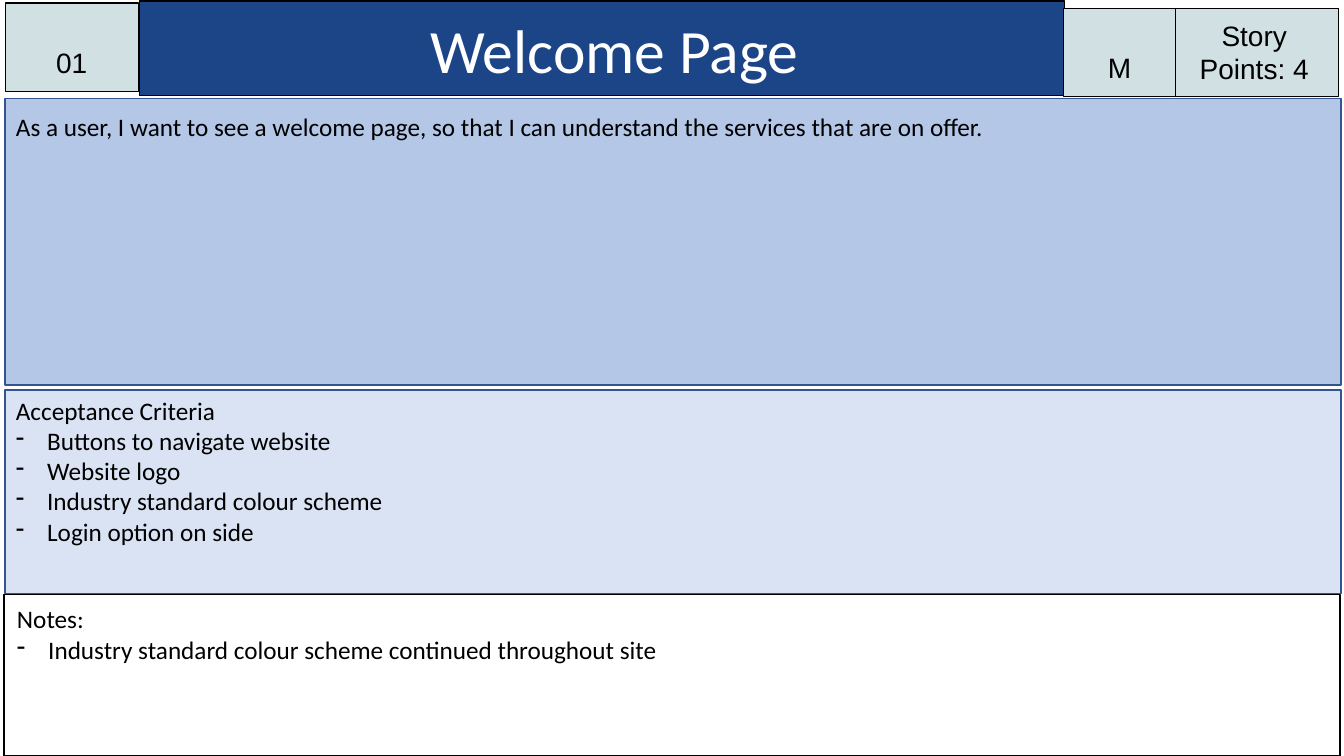
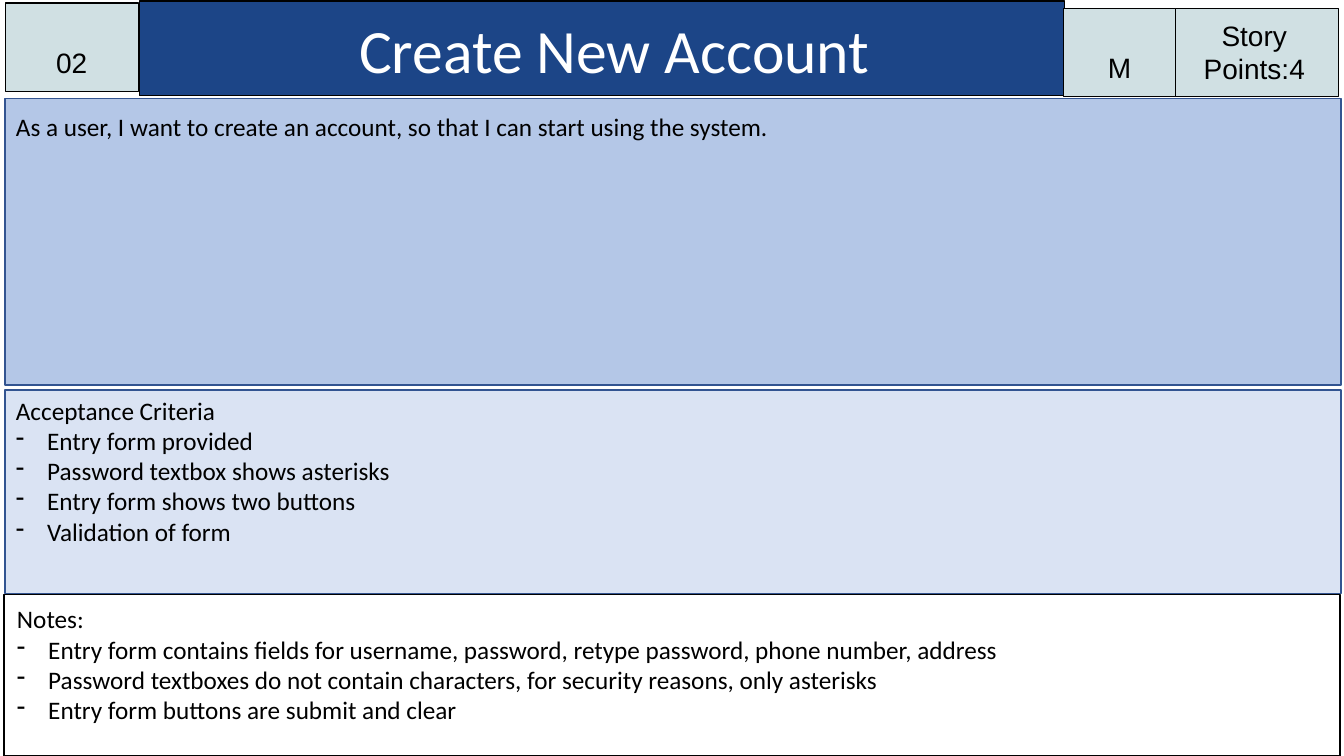
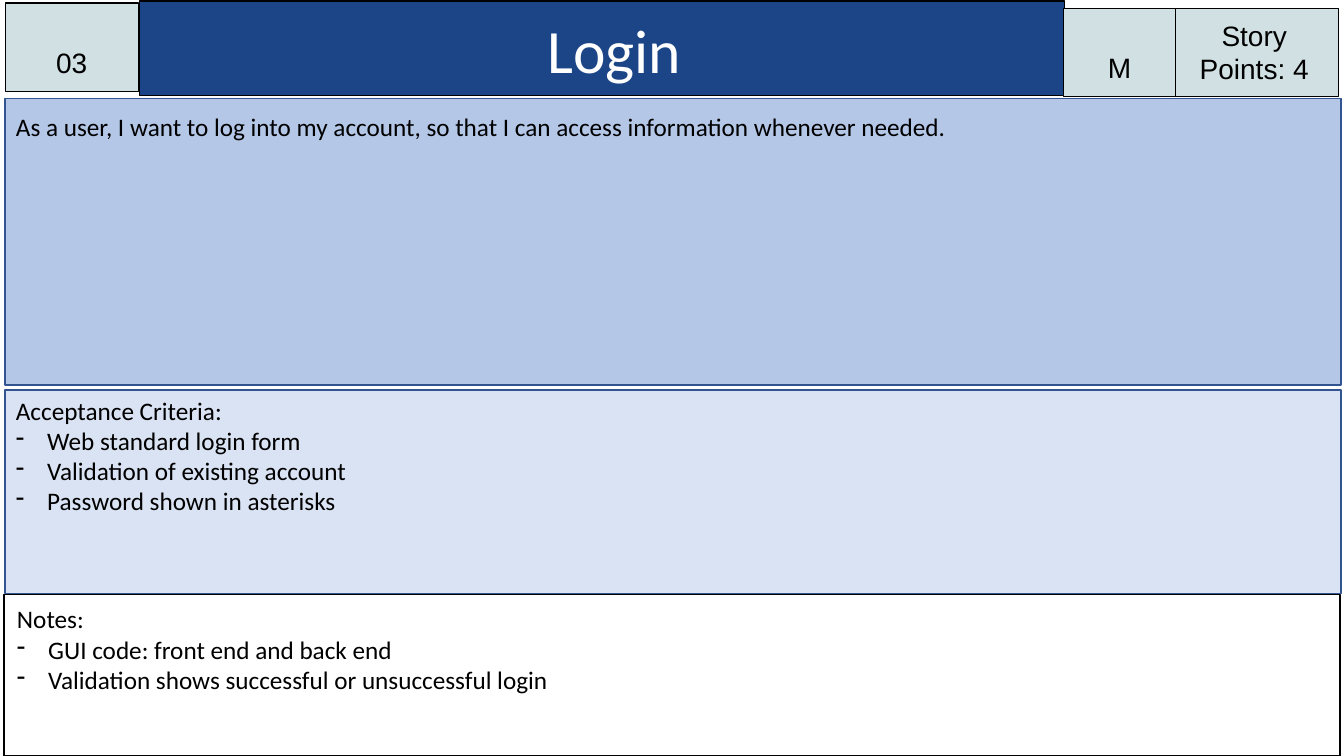
from dataclasses import dataclass

from lxml.etree import SubElement
from pptx import Presentation
from pptx.dml.color import RGBColor as RGB
from pptx.enum.shapes import MSO_SHAPE as Shape
from pptx.enum.text import MSO_ANCHOR as Anchor
from pptx.enum.text import MSO_AUTO_SIZE as Fit
from pptx.enum.text import PP_ALIGN as Align
from pptx.oxml.ns import qn
from pptx.util import Inches, Pt


@dataclass(frozen=True)
class Theme:
    navy: str = "1C4587"
    pale: str = "D0E0E3"
    blue: str = "B4C7E7"
    light: str = "DAE3F3"
    edge: str = "325491"
    white: str = "FFFFFF"
    black: str = "000000"
    font: str = "Calibri"
    tag_font: str = "Arial"
    title: int = 44
    tag: int = 20
    body: int = 18
    thin: float = 0.75
    thick: float = 1
    pad: float = 0.1
    dent: float = 0.31
    row: float = 0.3


@dataclass(frozen=True)
class Card:
    code: str
    title: str
    points: str
    story: str
    tests: tuple
    notes: tuple
    rank: str = "M"


CARDS = (
    Card(
        "01", "Welcome Page", "Story Points: 4",
        "As a user, I want to see a welcome page, so that I can "
        "understand the services that are on offer.",
        ("Acceptance Criteria", "Buttons to navigate website", "Website logo",
         "Industry standard colour scheme", "Login option on side"),
        ("Notes:",
         "Industry standard colour scheme continued throughout site"),
    ),
    Card(
        "02", "Create New Account", "Story Points:4",
        "As a user, I want to create an account, so that I can "
        "start using the system.",
        ("Acceptance Criteria", "Entry form provided",
         "Password textbox shows asterisks", "Entry form shows two buttons",
         "Validation of form"),
        ("Notes:",
         "Entry form contains fields for username, password, "
         "retype password, phone number, address",
         "Password textboxes do not contain characters, "
         "for security reasons, only asterisks",
         "Entry form buttons are submit and clear"),
    ),
    Card(
        "03", "Login", "Story Points: 4",
        "As a user, I want to log into my account, so that I can "
        "access information whenever needed.",
        ("Acceptance Criteria:", "Web standard login form",
         "Validation of existing account", "Password shown in asterisks"),
        ("Notes:", "GUI code: front end and back end",
         "Validation shows successful or unsuccessful login"),
    ),
)


class Deck:
    def __init__(self, theme):
        self.theme = theme
        self.prs = Presentation()
        self.prs.slide_width = Inches(13.33)
        self.prs.slide_height = Inches(7.5)
        self.slide = None

    def start(self):
        self.slide = self.prs.slides.add_slide(self.prs.slide_layouts[5])

    def paint(self, shape, fill, line, width):
        shape.fill.solid()
        shape.fill.fore_color.rgb = RGB.from_string(fill)
        shape.line.color.rgb = RGB.from_string(line)
        shape.line.width = Pt(width)

    def inset(self, frame, left, top):
        """Set the margins; right and bottom keep the usual padding."""
        frame.word_wrap = True
        frame.auto_size = Fit.NONE
        frame.margin_left, frame.margin_top = Inches(left), Inches(top)
        frame.margin_right = frame.margin_bottom = Inches(self.theme.pad)

    def add_run(self, para, text, size, font, color, align=Align.LEFT):
        para.alignment = align
        run = para.add_run()
        run.text = text
        run.font.size = Pt(size)
        run.font.name = font
        run.font.color.rgb = RGB.from_string(color)

    def title(self, text):
        look = self.theme
        shape = self.slide.shapes.title
        shape.left, shape.top = Inches(1.38), Inches(0.01)
        shape.width, shape.height = Inches(9.18), Inches(0.94)
        self.paint(shape, look.navy, look.black, look.thin)
        frame = shape.text_frame
        self.inset(frame, 0.35, look.pad)
        frame.vertical_anchor = Anchor.BOTTOM
        self.add_run(frame.paragraphs[0], text, look.title, look.font,
                     look.white, Align.CENTER)

    def box(self, left, top, width, height, fill, line, weight):
        shape = self.slide.shapes.add_shape(
            Shape.RECTANGLE, Inches(left), Inches(top),
            Inches(width), Inches(height))
        shape.shadow.inherit = False
        self.paint(shape, fill, line, weight)
        return shape

    def tag(self, text, left, top, width, drop=0.0):
        """Draw a header cell whose text starts lower by drop inches."""
        look = self.theme
        shape = self.box(left, top, width, 0.88, look.pale, look.black,
                         look.thin)
        frame = shape.text_frame
        self.inset(frame, look.pad, look.pad + drop)
        frame.vertical_anchor = Anchor.TOP
        self.add_run(frame.paragraphs[0], text, look.tag, look.tag_font,
                     look.black, Align.CENTER)

    def panel(self, left, top, height, fill, line):
        self.box(left, top, 13.25, height, fill, line, self.theme.thick)

    def dash(self, para):
        props = para._p.get_or_add_pPr()
        dent = Inches(self.theme.dent)
        props.set("marL", str(dent))
        props.set("indent", str(-dent))
        SubElement(props, qn("a:buChar")).set("char", "-")

    def text(self, lines, left, top, width):
        """Add a heading line, then the rest as dashed items."""
        look = self.theme
        height = look.pad + look.row * len(lines)
        shape = self.slide.shapes.add_textbox(
            Inches(left), Inches(top), Inches(width), Inches(height))
        frame = shape.text_frame
        frame.word_wrap = True
        for i, line in enumerate(lines):
            para = frame.add_paragraph() if i else frame.paragraphs[0]
            self.add_run(para, line, look.body, look.font, look.black)
            if i:
                self.dash(para)

    def card(self, card):
        look = self.theme
        self.start()
        self.title(card.title)
        self.tag(card.points, 11.6, 0.08, 1.68)
        self.tag(card.rank, 10.55, 0.08, 1.11, drop=0.32)
        self.tag(card.code, 0.05, 0.03, 1.32, drop=0.32)
        self.panel(0.05, 0.98, 2.84, look.blue, look.edge)
        self.panel(0.05, 3.87, 2.02, look.light, look.edge)
        self.panel(0.04, 5.9, 1.6, look.white, look.black)
        self.text(card.tests, 0.06, 3.87, 13.23)
        self.text((card.story,), 0.06, 1.06, 13.01)
        self.text(card.notes, 0.07, 5.94, 13.22)


def main():
    deck = Deck(Theme())
    for card in CARDS:
        deck.card(card)
    deck.prs.save("out.pptx")


if __name__ == "__main__":
    main()
